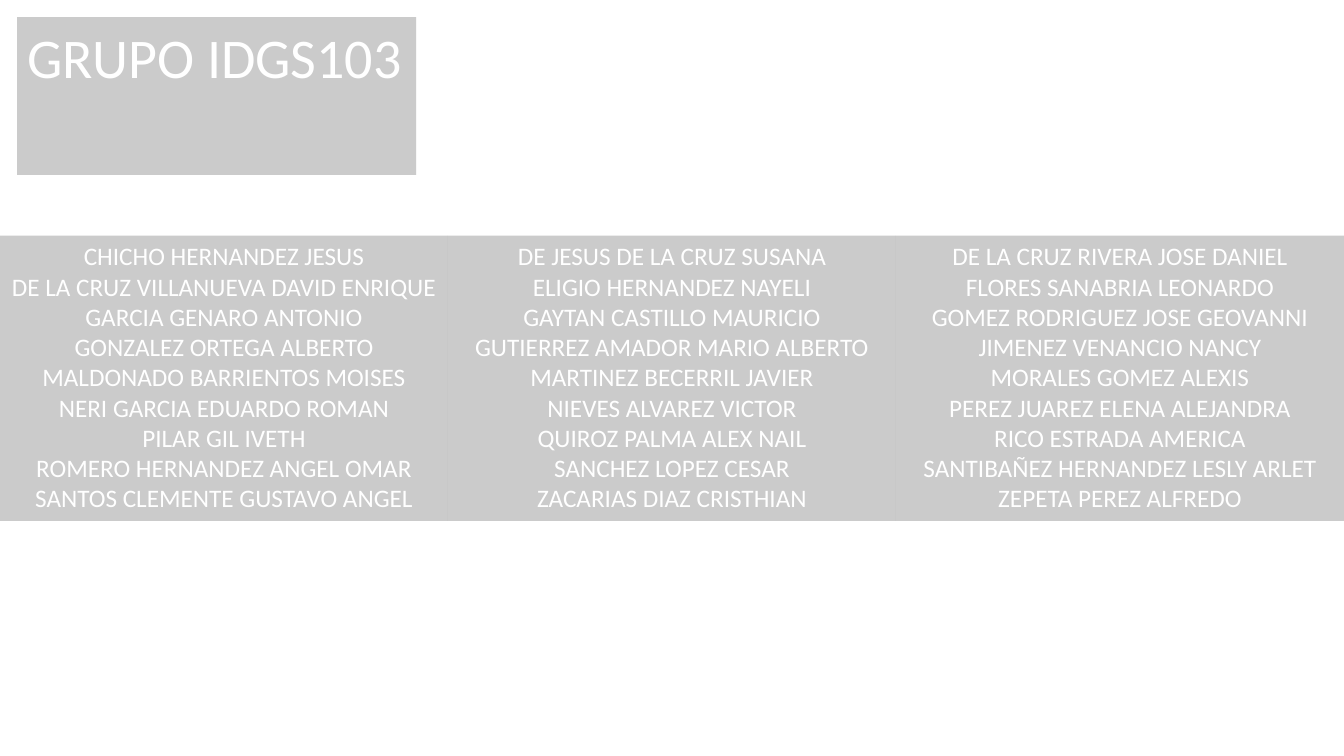
from lxml.etree import SubElement
from pptx import Presentation
from pptx.dml.color import RGBColor
from pptx.enum.text import MSO_ANCHOR, MSO_AUTO_SIZE, PP_ALIGN
from pptx.oxml.ns import qn
from pptx.util import Cm, Pt

GROUP_NAME = "GRUPO IDGS103"
STUDENT_COLUMNS = [
    [
        "CHICHO HERNANDEZ JESUS",
        "DE LA CRUZ VILLANUEVA DAVID ENRIQUE",
        "GARCIA GENARO ANTONIO",
        "GONZALEZ ORTEGA ALBERTO",
        "MALDONADO BARRIENTOS MOISES",
        "NERI GARCIA EDUARDO ROMAN",
        "PILAR GIL IVETH",
        "ROMERO HERNANDEZ ANGEL OMAR",
        "SANTOS CLEMENTE GUSTAVO ANGEL",
    ],
    [
        "DE JESUS DE LA CRUZ SUSANA",
        "ELIGIO HERNANDEZ NAYELI",
        "GAYTAN CASTILLO MAURICIO",
        "GUTIERREZ AMADOR MARIO ALBERTO",
        "MARTINEZ BECERRIL JAVIER",
        "NIEVES ALVAREZ VICTOR",
        "QUIROZ PALMA ALEX NAIL",
        "SANCHEZ LOPEZ CESAR",
        "ZACARIAS DIAZ CRISTHIAN",
    ],
    [
        "DE LA CRUZ RIVERA JOSE DANIEL",
        "FLORES SANABRIA LEONARDO",
        "GOMEZ RODRIGUEZ JOSE GEOVANNI",
        "JIMENEZ VENANCIO NANCY",
        "MORALES GOMEZ ALEXIS",
        "PEREZ JUAREZ ELENA ALEJANDRA",
        "RICO ESTRADA AMERICA",
        "SANTIBAÑEZ HERNANDEZ LESLY ARLET",
        "ZEPETA PEREZ ALFREDO",
    ],
]
COLORS = {"panel": "A6A6A6", "text": "FFFFFF"}
PANEL_OPACITY = 58
FONT = "Calibri"
SLIDE_WIDTH, SLIDE_HEIGHT = 33.87, 19.05
COLUMN_TOP, COLUMN_HEIGHT = 5.94, 7.19


def format_panel(panel, lines, size, alignment, wrap):
    panel.fill.solid()
    panel.fill.fore_color.rgb = RGBColor.from_string(COLORS["panel"])
    color = panel._element.spPr.find(qn("a:solidFill"))[0]
    SubElement(color, qn("a:alpha"), val=str(PANEL_OPACITY * 1000))
    frame = panel.text_frame
    frame.text = "\n".join(lines)
    frame.word_wrap = wrap
    frame.auto_size = MSO_AUTO_SIZE.SHAPE_TO_FIT_TEXT
    frame.vertical_anchor = MSO_ANCHOR.TOP
    for paragraph in frame.paragraphs:
        paragraph.alignment = alignment
        for run in paragraph.runs:
            run.font.name = FONT
            run.font.size = Pt(size)
            run.font.color.rgb = RGBColor.from_string(COLORS["text"])


def main():
    deck = Presentation()
    deck.slide_width, deck.slide_height = Cm(SLIDE_WIDTH), Cm(SLIDE_HEIGHT)
    slide = deck.slides.add_slide(deck.slide_layouts[5])

    title = slide.shapes.title
    title.left, title.top = Cm(0.43), Cm(0.43)
    title.width, title.height = Cm(10.06), Cm(1.96)
    format_panel(title, [GROUP_NAME], 40, PP_ALIGN.LEFT, False)

    column_width = SLIDE_WIDTH / len(STUDENT_COLUMNS)
    for index, students in enumerate(STUDENT_COLUMNS):
        column = slide.shapes.add_textbox(
            Cm(index * column_width), Cm(COLUMN_TOP), Cm(column_width), Cm(COLUMN_HEIGHT)
        )
        format_panel(column, students, 18, PP_ALIGN.CENTER, index > 0)

    deck.save("out.pptx")


if __name__ == "__main__":
    main()
